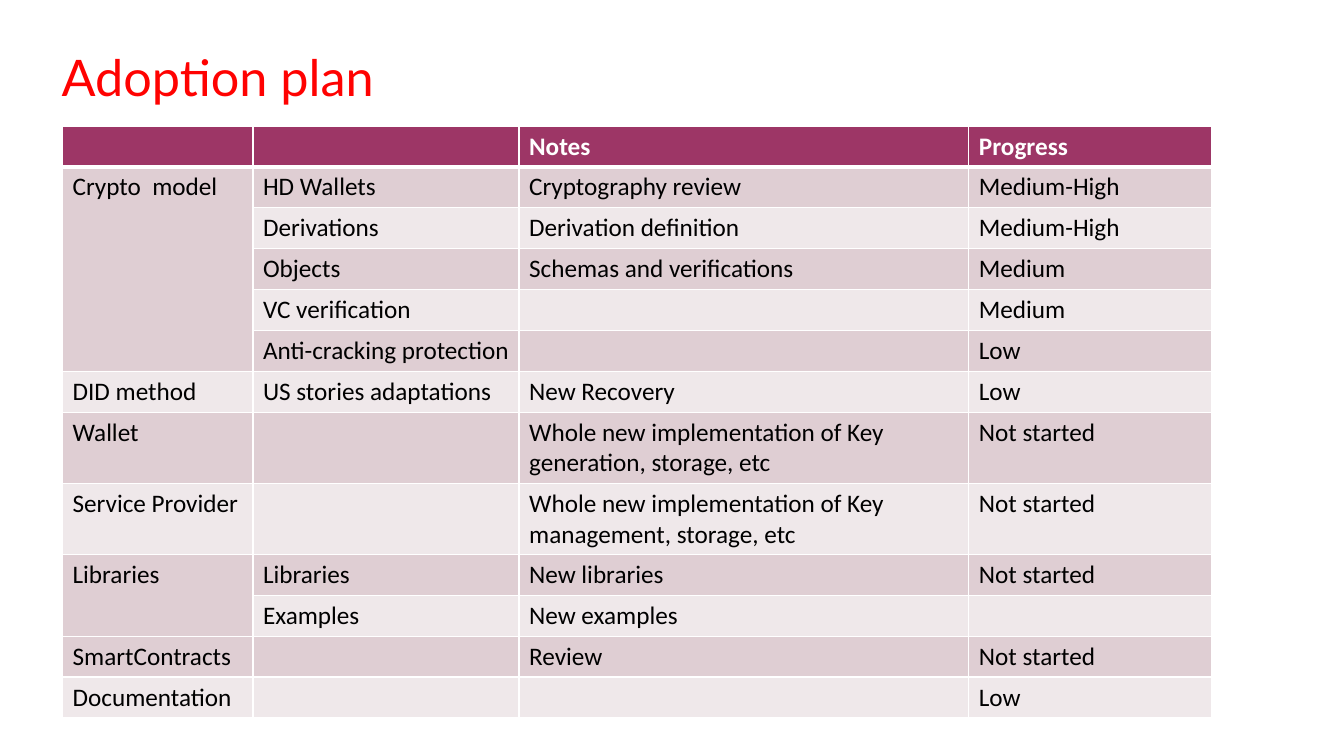
from lxml import etree
from pptx import Presentation
from pptx.dml.color import RGBColor
from pptx.enum.text import MSO_ANCHOR
from pptx.oxml.ns import qn
from pptx.util import Pt

TOP = MSO_ANCHOR.TOP

# Content: each area has one or more (item, note, progress) rows
TITLE = "Adoption plan"
HEADER = ("", "", "Notes", "Progress")
AREAS = [
    ("Crypto  model", [
        ("HD Wallets", "Cryptography review", "Medium-High"),
        ("Derivations", "Derivation definition", "Medium-High"),
        ("Objects", "Schemas and verifications", "Medium"),
        ("VC verification", "", "Medium"),
        ("Anti-cracking protection", "", "Low"),
    ]),
    ("DID method", [("US stories adaptations", "New Recovery", "Low")]),
    ("Wallet", [("", "Whole new implementation of Key generation, storage, etc", "Not started")]),
    ("Service Provider", [("", "Whole new implementation of Key management, storage, etc", "Not started")]),
    ("Libraries", [
        ("Libraries", "New libraries", "Not started"),
        ("Examples", "New examples", ""),
    ]),
    ("SmartContracts", [("", "Review", "Not started")]),
    ("Documentation", [("", "", "Low")]),
]

THEME = {
    "title_font": "Lato", "table_font": "Calibri",
    "title_size": 36, "table_size": 18,
    "title": "FF0201", "header": "9D3666", "header_text": "FFFFFF",
    "text": "000000", "bands": ("DFCED3", "EFE8EA"), "border": "FFFFFF",
}

# Layout in points
SLIDE_SIZE = (960, 540)
TITLE_BOX = (44, 33, 600, 44)
TABLE_LEFT, TABLE_TOP = 44.7, 90
COLUMN_WIDTHS = (136, 190.1, 321.3, 173.3)
ROW_HEIGHT, TALL_ROW_HEIGHT = 29.2, 50.8
LONG_NOTE = 40
THIN, THICK = 1, 3


def write_text(frame, text, *, font, size, color, bold=False):
    paragraph = frame.paragraphs[0]
    paragraph.font.size = Pt(size)
    if text:
        run = paragraph.add_run()
        run.text = text
        run.font.name = font
        run.font.size = Pt(size)
        run.font.bold = bold
        run.font.color.rgb = RGBColor.from_string(color)


def set_borders(cell, widths):
    properties = cell._tc.get_or_add_tcPr()
    for side, width in widths.items():
        line = etree.SubElement(properties, qn(f"a:ln{side}"), w=str(Pt(width)))
        fill = etree.SubElement(line, qn("a:solidFill"))
        etree.SubElement(fill, qn("a:srgbClr"), val=THEME["border"])


def add_title(slide):
    frame = slide.shapes.add_textbox(*map(Pt, TITLE_BOX)).text_frame
    frame.word_wrap = True
    frame.margin_left = frame.margin_right = frame.margin_top = frame.margin_bottom = 0
    write_text(frame, TITLE, font=THEME["title_font"], size=THEME["title_size"], color=THEME["title"])


def add_plan_table(slide):
    rows = [HEADER] + [(area, *entry) for area, entries in AREAS for entry in entries]
    heights = [TALL_ROW_HEIGHT if len(row[2]) > LONG_NOTE else ROW_HEIGHT for row in rows]
    table = slide.shapes.add_table(
        len(rows), len(HEADER), Pt(TABLE_LEFT), Pt(TABLE_TOP),
        Pt(sum(COLUMN_WIDTHS)), Pt(sum(heights))).table
    for column, width in zip(table.columns, COLUMN_WIDTHS):
        column.width = Pt(width)
    for row, height in zip(table.rows, heights):
        row.height = Pt(height)

    # Areas with several rows share one tall first cell
    first = 1
    for _, entries in AREAS:
        last = first + len(entries) - 1
        if last > first:
            table.cell(first, 0).merge(table.cell(last, 0))
        first = last + 1

    # Cell text, borders and banded fills
    for row_index, row in enumerate(rows):
        is_header = row_index == 0
        fill = THEME["header"] if is_header else THEME["bands"][(row_index - 1) % 2]
        borders = {"L": THIN, "R": THIN,
                   "T": THICK if row_index == 1 else THIN,
                   "B": THICK if is_header else THIN}
        for column_index, text in enumerate(row):
            cell = table.cell(row_index, column_index)
            set_borders(cell, borders)
            cell.fill.solid()
            cell.fill.fore_color.rgb = RGBColor.from_string(fill)
            cell.vertical_anchor = TOP
            write_text(cell.text_frame, "" if cell.is_spanned else text,
                       font=THEME["table_font"], size=THEME["table_size"], bold=is_header,
                       color=THEME["header_text" if is_header else "text"])


def main():
    presentation = Presentation()
    presentation.slide_width, presentation.slide_height = map(Pt, SLIDE_SIZE)
    slide = presentation.slides.add_slide(presentation.slide_layouts[6])
    add_title(slide)
    add_plan_table(slide)
    presentation.save("out.pptx")


if __name__ == "__main__":
    main()
